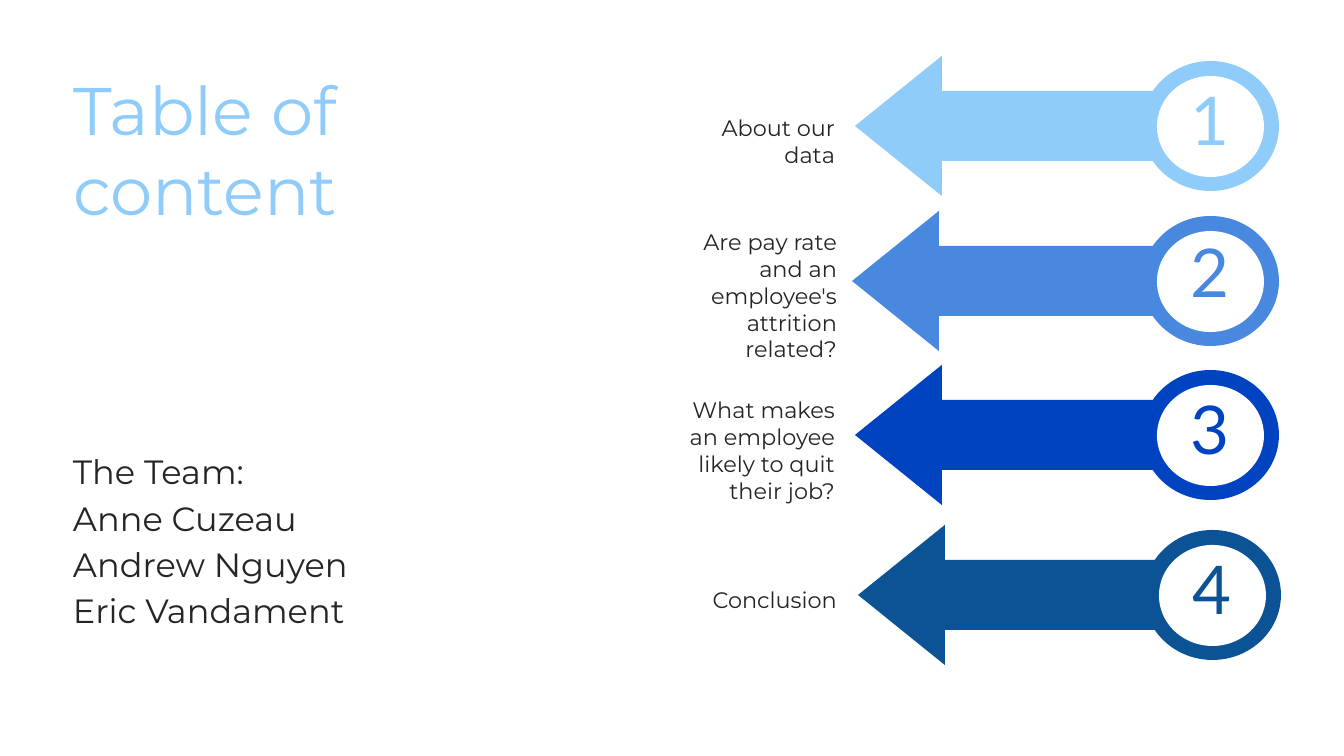
from dataclasses import dataclass

from pptx import Presentation
from pptx.dml.color import RGBColor
from pptx.enum.shapes import MSO_SHAPE
from pptx.enum.text import MSO_ANCHOR, PP_ALIGN
from pptx.util import Emu, Pt

SCALE = 914400 / 134.4  # EMU in one px


@dataclass(frozen=True)
class Theme:
    sky: str = "90CCFA"
    blue: str = "4888DE"
    royal: str = "0043C1"
    navy: str = "0B5394"
    ink: str = "252525"
    white: str = "FFFFFF"
    sans: str = "Montserrat"
    digit: str = "Lato"
    large: int = 36
    medium: int = 18
    small: int = 12


THEME = Theme()

# Label, colour, arrow left, arrow top, ring left, digit top, label left, label top
ITEMS = [
    ("About our data", THEME.sky, 855, 56, 1142, 82, 653, 101),
    ("Are pay rate and an employee's attrition related?",
     THEME.blue, 852, 211, 1142, 234, 655, 215),
    ("What makes an employee likely to quit their job?",
     THEME.royal, 855, 365, 1142, 391, 653, 383),
    ("Conclusion", THEME.navy, 858, 525, 1144, 551, 655, 573),
]
TEAM = ["The Team:", "Anne Cuzeau", "Andrew Nguyen", "Eric Vandament"]


def px(num):
    return Emu(round(num * SCALE))


def add_text(slide, lines, box, *, size, color=THEME.ink, font=THEME.sans,
             align=PP_ALIGN.LEFT, anchor=MSO_ANCHOR.TOP, leads=None):
    frame = slide.shapes.add_textbox(*map(px, box)).text_frame
    frame.word_wrap = True
    frame.vertical_anchor = anchor
    frame.margin_left = frame.margin_right = px(13)
    frame.margin_top = frame.margin_bottom = px(13)
    frame.text = "\n".join(lines)
    for row, para in enumerate(frame.paragraphs):
        para.alignment = align
        if leads:
            para.line_spacing = leads[row]
        para.font.size = Pt(size)
        para.font.name = font
        para.font.color.rgb = RGBColor.from_string(color)


def add_form(group, kind, box, color):
    form = group.shapes.add_shape(kind, *map(px, box))
    form.shadow.inherit = False
    form.fill.solid()
    form.fill.fore_color.rgb = RGBColor.from_string(color)
    form.line.fill.background()
    return form


def add_arrow(slide, color, left, top, ring):
    group = slide.shapes.add_group_shape()
    arrow = add_form(group, MSO_SHAPE.LEFT_ARROW, (left, top, 337, 140), color)
    arrow.adjustments[0] = 0.5
    arrow.adjustments[1] = 0.62
    add_form(group, MSO_SHAPE.OVAL, (ring, top + 5, 137, 130), color)
    add_form(group, MSO_SHAPE.OVAL, (ring + 15, top + 20, 107, 101), THEME.white)


def add_item(slide, num, item):
    label, color, left, top, ring, digit_top, label_left, label_top = item
    add_arrow(slide, color, left, top, ring)
    add_text(slide, [str(num)], (ring + 15, digit_top, 106, 90),
             size=THEME.large, color=color, font=THEME.digit,
             align=PP_ALIGN.CENTER, anchor=MSO_ANCHOR.BOTTOM)
    add_text(slide, [label], (label_left, label_top, 195, 132),
             size=THEME.small, align=PP_ALIGN.RIGHT)


def main():
    deck = Presentation()
    deck.slide_width, deck.slide_height = px(1344), px(756)
    slide = deck.slides.add_slide(deck.slide_layouts[6])

    # Title and team
    add_text(slide, ["Table of content"], (60, 55, 560, 90),
             size=THEME.large, color=THEME.sky)
    add_text(slide, TEAM, (60, 418, 441, 223), size=THEME.medium,
             leads=[1.5, 1.15, 1.15, 1.15])

    # Numbered arrows with their topics
    for num, item in enumerate(ITEMS, 1):
        add_item(slide, num, item)

    deck.save("out.pptx")


if __name__ == "__main__":
    main()
